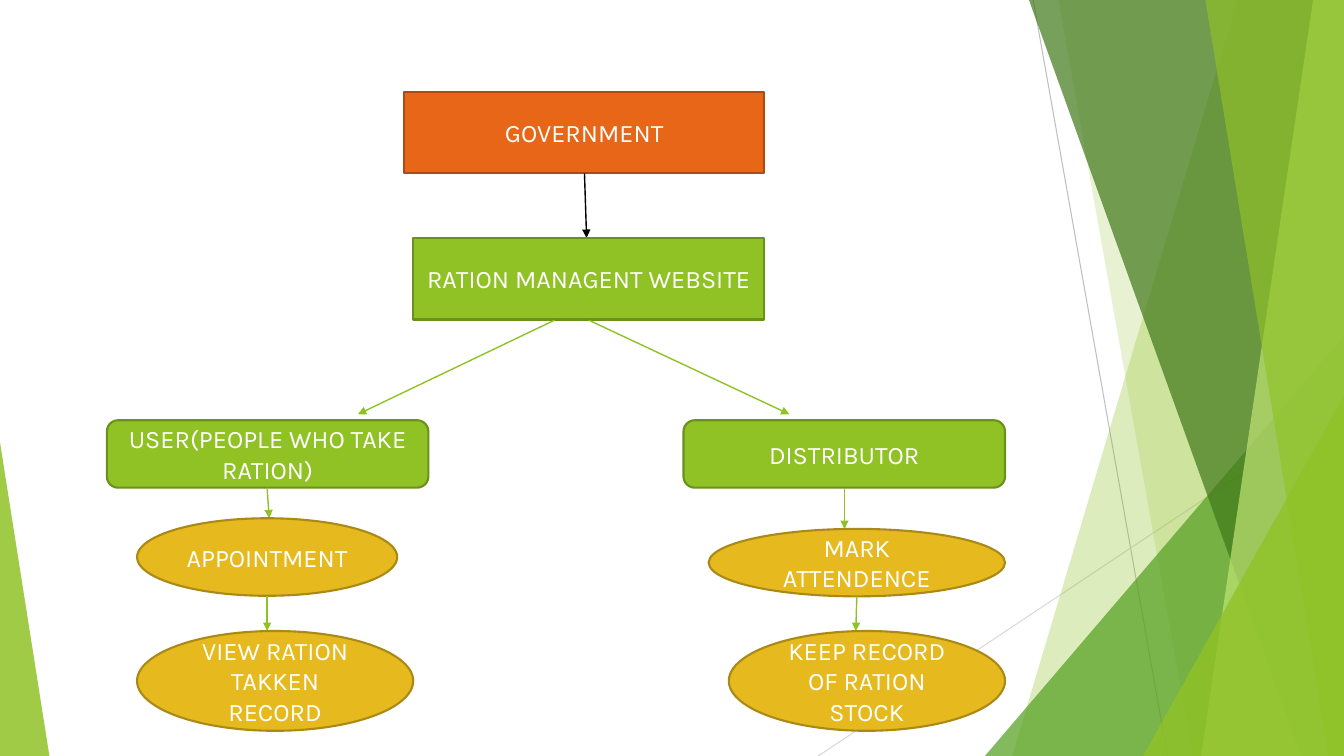
from dataclasses import dataclass

from pptx import Presentation
from pptx.dml.color import RGBColor
from pptx.enum.shapes import MSO_CONNECTOR, MSO_SHAPE
from pptx.enum.text import MSO_ANCHOR, PP_ALIGN
from pptx.oxml.ns import qn
from pptx.oxml.xmlchemy import OxmlElement
from pptx.util import Pt

STRAIGHT = MSO_CONNECTOR.STRAIGHT
TRIANGLE = MSO_SHAPE.ISOSCELES_TRIANGLE
PROCESS = MSO_SHAPE.FLOWCHART_PROCESS
ROUNDED = MSO_SHAPE.FLOWCHART_ALTERNATE_PROCESS
OVAL = MSO_SHAPE.OVAL
CENTER = PP_ALIGN.CENTER
MIDDLE = MSO_ANCHOR.MIDDLE
WIDTH, HEIGHT = 960, 540


@dataclass(frozen=True)
class Theme:
    font: str = "Karla"
    text_size: float = 18
    border: float = 1.5
    arrow: float = 1
    hairline: float = 0.75
    white: str = "FFFFFF"
    black: str = "000000"
    green: str = "90C226"
    mid_green: str = "54A021"
    dark_green: str = "3F7819"
    pale_green: str = "C0E474"
    grey: str = "BFBFBF"
    light_grey: str = "D9D9D9"
    orange_node: tuple = ("E76618", "AB4B12")
    green_node: tuple = ("90C226", "6B901C")
    gold_node: tuple = ("E6B91E", "AA8916")


THEME = Theme()


def rgb(color):
    return RGBColor.from_string(color)


def write_text(shape, text, *, size=THEME.text_size, color=THEME.white,
               font=THEME.font, align=CENTER, anchor=MIDDLE):
    frame = shape.text_frame
    frame.word_wrap = True
    frame.vertical_anchor = anchor
    paragraph = frame.paragraphs[0]
    paragraph.alignment = align
    run = paragraph.add_run()
    run.text = text
    run.font.name = font
    run.font.size = Pt(size)
    run.font.color.rgb = rgb(color)


def add_line(slide, start, end, color, width, arrow=False):
    line = slide.shapes.add_connector(STRAIGHT, *map(Pt, (*start, *end)))
    line.line.color.rgb = rgb(color)
    line.line.width = Pt(width)
    if arrow:
        tail = OxmlElement("a:tailEnd")
        tail.set("type", "triangle")
        line.line._get_or_add_ln().append(tail)
    line._element.spPr.append(OxmlElement("a:effectLst"))


def add_arrow(slide, start, end, color=THEME.green):
    add_line(slide, start, end, color, THEME.arrow, arrow=True)


def add_node(slide, kind, box, text, colors):
    node = slide.shapes.add_shape(kind, *map(Pt, box))
    node.shadow.inherit = False
    fill, border = colors
    node.fill.solid()
    node.fill.fore_color.rgb = rgb(fill)
    node.line.color.rgb = rgb(border)
    node.line.width = Pt(THEME.border)
    write_text(node, text)


def paint_facet(facet, color, opacity):
    facet.shadow.inherit = False
    facet.fill.solid()
    facet.fill.fore_color.rgb = rgb(color)
    facet.line.fill.background()
    alpha = OxmlElement("a:alpha")
    alpha.set("val", str(opacity * 1000))
    facet._element.spPr.find(".//" + qn("a:srgbClr")).append(alpha)


def add_band(slide, top_x, bottom_x, color, opacity):
    """Full-height facet with a slanted left edge, reaching the right edge."""
    outline = slide.shapes.build_freeform(Pt(top_x), Pt(0))
    corners = [(WIDTH, 0), (WIDTH, HEIGHT), (bottom_x, HEIGHT)]
    outline.add_line_segments([(Pt(x), Pt(y)) for x, y in corners])
    paint_facet(outline.convert_to_shape(), color, opacity)


def add_corner(slide, left, top, width, apex, color, opacity):
    """Triangle standing on the bottom edge; apex 0 is left and 1 is right."""
    corner = slide.shapes.add_shape(
        TRIANGLE, Pt(left), Pt(top), Pt(width), Pt(HEIGHT - top))
    corner.adjustments[0] = apex
    paint_facet(corner, color, opacity)


def add_backdrop(slide):
    add_line(slide, (738, 0), (834, HEIGHT), THEME.grey, THEME.hairline)
    add_line(slide, (WIDTH, 290), (584.5, HEIGHT), THEME.light_grey, THEME.hairline)
    add_band(slide, 884, 723, THEME.green, 30)
    add_band(slide, 756, 852, THEME.green, 20)
    add_corner(slide, 703.5, 240, WIDTH - 703.5, 1, THEME.mid_green, 72)
    add_band(slide, 735, 929.5, THEME.dark_green, 70)
    add_band(slide, 938, 858, THEME.pale_green, 70)
    add_band(slide, 861, 949, THEME.green, 65)
    add_corner(slide, 816.5, 283, WIDTH - 816.5, 1, THEME.green, 80)
    add_corner(slide, 0, 316, 35.3, 0, THEME.green, 85)


def add_source(slide, left, top):
    """Government and the website it feeds, with arrows to both branches."""
    node_height, website_top = 58.3, top + 104.4
    website_bottom = website_top + node_height
    add_node(slide, PROCESS, (left, top, 257, node_height),
             "GOVERNMENT", THEME.orange_node)
    add_arrow(slide, (left + 128.7, top + node_height),
              (left + 130.2, website_top), THEME.black)
    add_node(slide, PROCESS, (left + 6.4, website_top, 250.6, node_height),
             "RATION MANAGENT WEBSITE", THEME.green_node)
    for start_x, end_x in ((107.3, -33.1), (131.8, 275.1)):
        add_arrow(slide, (left + start_x, website_bottom + 0.5),
                  (left + end_x, website_bottom + 67.7))


def add_branch(slide, left, top, role, steps, arrows):
    """Role box with its steps below; offsets are measured from the role box."""
    role_height = 48.2
    add_node(slide, ROUNDED, (left, top, 229.7, role_height), role, THEME.green_node)
    bottom = top + role_height
    for (text, dx, dy, width, height), (start_x, end_x) in zip(steps, arrows):
        step_top = top + dy
        add_arrow(slide, (left + start_x, bottom), (left + end_x, step_top))
        add_node(slide, OVAL, (left + dx, step_top, width, height),
                 text, THEME.gold_node)
        bottom = step_top + height


def main():
    deck = Presentation()
    deck.slide_width, deck.slide_height = Pt(WIDTH), Pt(HEIGHT)
    blank = deck.slide_layouts.get_by_name("Blank")
    slide = deck.slides.add_slide(blank)
    add_backdrop(slide)
    add_source(slide, 288.8, 65.5)
    add_branch(slide, 76.3, 300.2, "USER(PEOPLE WHO TAKE RATION)",
               [("APPOINTMENT", 21.6, 70, 185.8, 55.4),
                ("VIEW RATION TAKKEN RECORD", 21.6, 150.5, 197.3, 71.3)],
               [(114.5, 116), (114.5, 114.5)])
    add_branch(slide, 488.2, 300.2, "DISTRIBUTOR",
               [("MARK ATTENDENCE", 18, 77.6, 211.7, 48.2),
                ("KEEP RECORD OF RATION STOCK", 32.4, 150.5, 197.3, 71.3)],
               [(115, 115), (123.8, 123.1)])
    deck.save("out.pptx")


if __name__ == "__main__":
    main()
